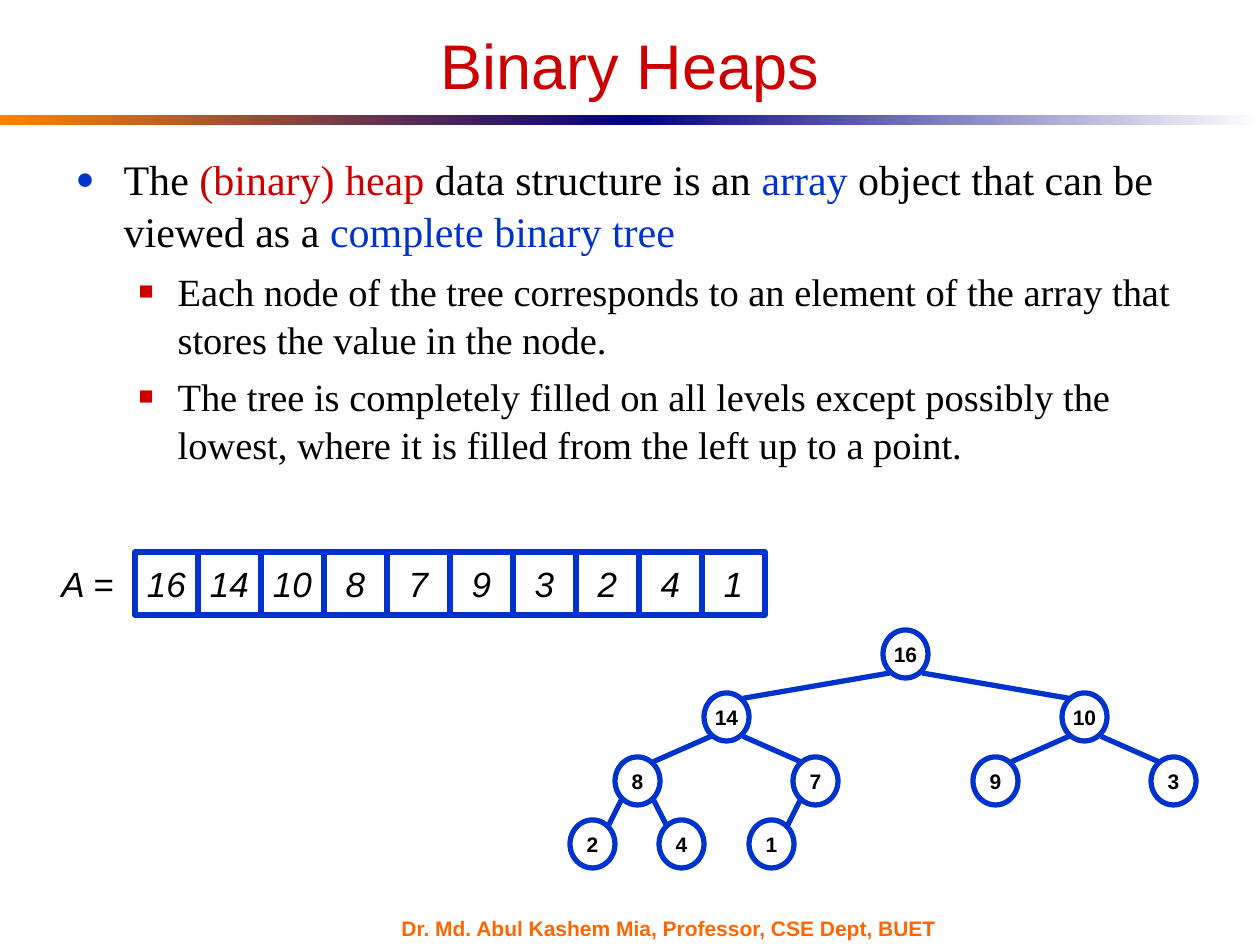
"""Builds the binary heap slide: an array and its tree."""
from dataclasses import dataclass

from lxml import etree
from pptx import Presentation
from pptx import util as u
from pptx.dml.color import RGBColor
from pptx.enum import shapes, text
from pptx.oxml.ns import qn

SCALE = 914400 / 126


@dataclass(frozen=True)
class Theme:
    sans: str = "Arial"
    serif: str = "Times New Roman"
    black: str = "000000"
    white: str = "FFFFFF"
    red: str = "CC0000"
    blue: str = "0033CC"
    navy: str = "000082"
    amber: str = "FF8200"
    orange: str = "FF6600"
    title: int = 36
    lead: int = 24
    point: int = 22
    cell: int = 20
    small: int = 12
    line: int = 3


@dataclass(frozen=True)
class Box:
    left: int
    top: int
    width: int
    height: int


@dataclass(frozen=True)
class Item:
    runs: tuple
    level: int
    size: int
    before: float
    mark: str
    tint: str
    ratio: int
    left: int
    hang: int


T = Theme()
HEAP = (16, 14, 10, 8, 7, 9, 3, 2, 4, 1)
LEAD = Item((("The ", T.black), ("(binary) heap", T.red),
             (" data structure is an ", T.black), ("array", T.blue),
             (" object that can be viewed as a ", T.black),
             ("complete binary tree", T.blue)),
            0, T.lead, 6, "●", T.blue, 75, 48, 48)
POINTS = (
    "Each node of the tree corresponds to an element of the array that "
    "stores the value in the node.",
    "The tree is completely filled on all levels except possibly the "
    "lowest, where it is filled from the left up to a point.",
)
ITEMS = (LEAD, *(Item(((line, T.black),), 1, T.point, 5.5, "■", T.red, 65, 102, 39)
                 for line in POINTS))


def px(count: float) -> u.Emu:
    return u.Emu(round(count * SCALE))


def rgb(code: str) -> RGBColor:
    return RGBColor.from_string(code)


def area(box: Box) -> tuple:
    return px(box.left), px(box.top), px(box.width), px(box.height)


def place(shape, box: Box) -> None:
    shape.left, shape.top, shape.width, shape.height = area(box)


def write(para, words: str, *, size: int, font: str = T.sans, color: str = T.black,
          bold: bool = False, italic: bool = False, align=None) -> None:
    run = para.add_run()
    run.text = words
    run.font.size, run.font.name = u.Pt(size), font
    run.font.bold, run.font.italic = bold, italic
    run.font.color.rgb = rgb(color)
    if align is not None:
        para.alignment = align


def label(shape, words: str, wrap: bool = False, **style) -> None:
    frame = shape.text_frame
    frame.word_wrap = wrap
    frame.auto_size = text.MSO_AUTO_SIZE.NONE
    frame.vertical_anchor = text.MSO_ANCHOR.MIDDLE
    write(frame.paragraphs[0], words, **style)


def cell(slide, kind, box: Box, words: str, **style) -> None:
    shape = slide.shapes.add_shape(kind, *area(box))
    shape.shadow.inherit = False
    shape.fill.solid()
    shape.fill.fore_color.rgb = rgb(T.white)
    shape.line.color.rgb = rgb(T.blue)
    shape.line.width = u.Pt(T.line)
    label(shape, words, align=text.PP_ALIGN.CENTER, **style)


def band(slide, box: Box, start: str, end: str) -> None:
    shape = slide.shapes.add_shape(shapes.MSO_SHAPE.RECTANGLE, *area(box))
    shape.shadow.inherit = False
    shape.line.fill.background()
    shape.fill.gradient()
    shape.fill.gradient_angle = 0
    for stop, place_at, color in zip(shape.fill.gradient_stops, (0, 1), (start, end)):
        stop.position = place_at
        stop.color.rgb = rgb(color)


def bullet(para, item: Item) -> None:
    props = para._p.get_or_add_pPr()
    props.set("marL", str(px(item.left)))
    props.set("indent", str(-px(item.hang)))
    tint = etree.SubElement(props, qn("a:buClr"))
    etree.SubElement(tint, qn("a:srgbClr"), val=item.tint)
    etree.SubElement(props, qn("a:buSzPct"), val=str(item.ratio * 1000))
    etree.SubElement(props, qn("a:buFont"), typeface=T.sans)
    etree.SubElement(props, qn("a:buChar"), char=item.mark)


def body(shape, items: tuple) -> None:
    frame = shape.text_frame
    frame.auto_size = text.MSO_AUTO_SIZE.NONE
    for order, item in enumerate(items):
        para = frame.add_paragraph() if order else frame.paragraphs[0]
        para.level = item.level
        para.space_before = u.Pt(item.before)
        para.line_spacing = 1.04
        bullet(para, item)
        for words, color in item.runs:
            write(para, words, size=item.size, font=T.serif, color=color)


def spot(order: int) -> tuple[float, float]:
    depth = (order + 1).bit_length() - 1
    rank = order + 1 - 2 ** depth
    return 548 + 716 * (2 * rank + 1) / 2 ** (depth + 1), 654 + 190 * depth / 3


def edge(slide, child: int) -> None:
    side = -1 if child % 2 else 1
    (px1, py1), (cx, cy) = spot((child - 1) // 2), spot(child)
    ends = px1 + 16 * side, py1 + 19, cx - 16 * side, cy - 19
    link = slide.shapes.add_connector(shapes.MSO_CONNECTOR.STRAIGHT, *map(px, ends))
    link.line.color.rgb = rgb(T.blue)
    link.line.width = u.Pt(T.line)
    etree.SubElement(link._element.spPr, qn("a:effectLst"))


def tree(slide) -> None:
    for order, value in enumerate(HEAP):
        mid, row = spot(order)
        box = Box(round(mid) - 23, round(row) - 24, 45, 48)
        cell(slide, shapes.MSO_SHAPE.OVAL, box, str(value), size=T.small, bold=True)
    for child in range(1, len(HEAP)):
        edge(slide, child)


def array(slide) -> None:
    for order, value in enumerate(HEAP):
        box = Box(135 + 63 * order, 552, 63, 63)
        cell(slide, shapes.MSO_SHAPE.RECTANGLE, box, str(value), size=T.cell, italic=True)
    name = slide.shapes.add_textbox(*area(Box(40, 552, 95, 63)))
    label(name, "A =", size=T.cell, italic=True, align=text.PP_ALIGN.CENTER)


def main() -> None:
    deck = Presentation()
    deck.slide_width, deck.slide_height = px(1260), px(945)
    slide = deck.slides.add_slide(deck.slide_layouts[1])
    band(slide, Box(0, 115, 630, 10), T.amber, T.navy)
    band(slide, Box(630, 115, 630, 10), T.navy, T.white)
    foot = slide.shapes.add_textbox(*area(Box(389, 917, 588, 23)))
    label(foot, "Dr. Md. Abul Kashem Mia, Professor, CSE Dept, BUET", wrap=True,
          size=T.small, color=T.orange, bold=True)
    head, main_text = slide.placeholders
    place(head, Box(63, 32, 1134, 64))
    label(head, "Binary Heaps", wrap=True, size=T.title, color=T.red,
          align=text.PP_ALIGN.CENTER)
    place(main_text, Box(63, 145, 1134, 328))
    body(main_text, ITEMS)
    tree(slide)
    array(slide)
    deck.save("out.pptx")


if __name__ == "__main__":
    main()
